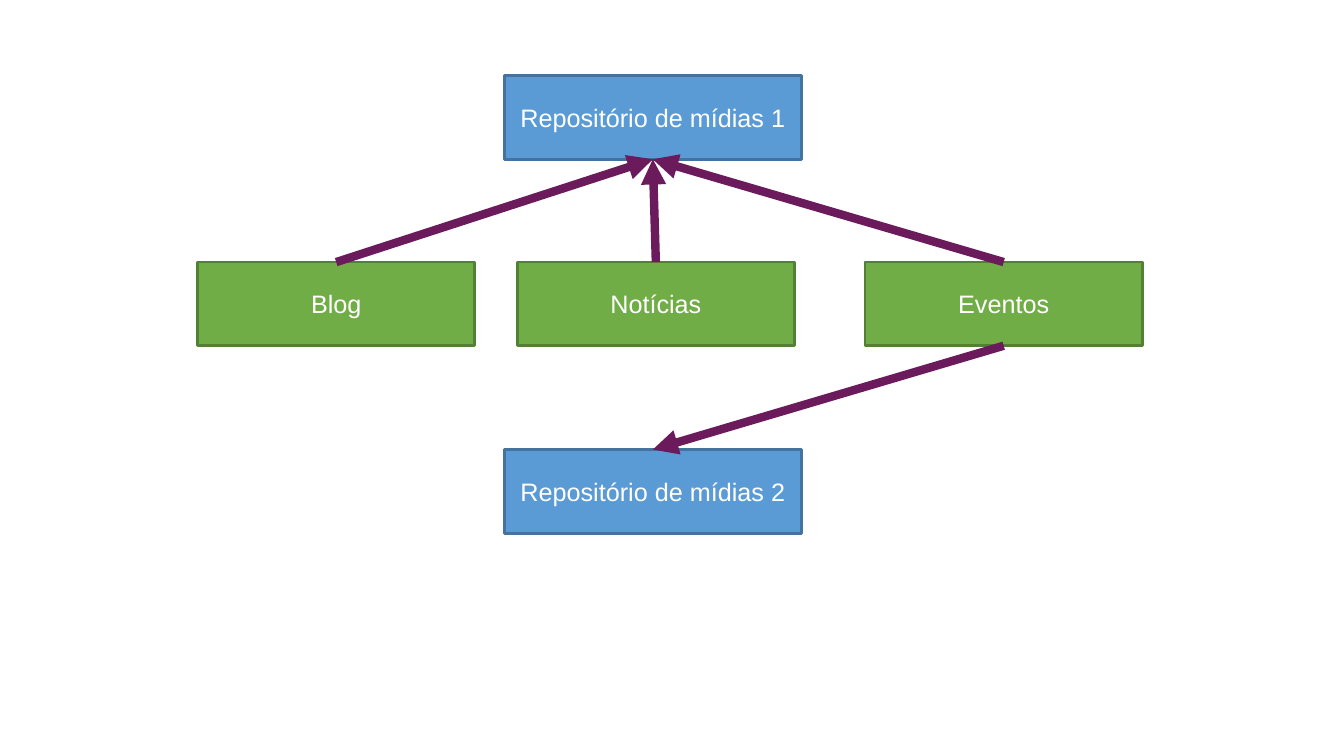
from lxml import etree
from pptx import Presentation
from pptx.dml.color import RGBColor
from pptx.enum.shapes import MSO_CONNECTOR, MSO_SHAPE
from pptx.enum.text import MSO_ANCHOR, PP_ALIGN
from pptx.oxml.ns import qn
from pptx.util import Inches, Pt

RECTANGLE = MSO_SHAPE.RECTANGLE
STRAIGHT = MSO_CONNECTOR.STRAIGHT
MIDDLE = MSO_ANCHOR.MIDDLE
CENTER = PP_ALIGN.CENTER

BLUE = RGBColor(0x5B, 0x9B, 0xD5)
DARK_BLUE = RGBColor(0x43, 0x73, 0x9E)
GREEN = RGBColor(0x70, 0xAD, 0x47)
DARK_GREEN = RGBColor(0x53, 0x80, 0x35)
PURPLE = RGBColor(0x6B, 0x1A, 0x5C)
WHITE = RGBColor(0xFF, 0xFF, 0xFF)

BOX_HEIGHT = 0.83
TOP_SITE = 0
BOTTOM_SITE = 2


def add_box(slide, text, left, top, width, fill_color, line_color):
    shape = slide.shapes.add_shape(
        RECTANGLE, Inches(left), Inches(top), Inches(width), Inches(BOX_HEIGHT)
    )
    shape.shadow.inherit = False
    shape.fill.solid()
    shape.fill.fore_color.rgb = fill_color
    shape.line.color.rgb = line_color
    shape.line.width = Pt(2)
    text_frame = shape.text_frame
    text_frame.text = text
    text_frame.word_wrap = True
    text_frame.vertical_anchor = MIDDLE
    paragraph = text_frame.paragraphs[0]
    paragraph.alignment = CENTER
    font = paragraph.runs[0].font
    font.name = "Arial"
    font.size = Pt(18)
    font.color.rgb = WHITE
    return shape


def add_repository(slide, text, top):
    return add_box(slide, text, 5, top, 2.95, BLUE, DARK_BLUE)


def add_site(slide, text, left):
    return add_box(slide, text, left, 2.6, 2.75, GREEN, DARK_GREEN)


def add_arrow(slide, source, source_site, target, target_site):
    connector = slide.shapes.add_connector(STRAIGHT, 0, 0, 0, 0)
    connector.begin_connect(source, source_site)
    connector.end_connect(target, target_site)
    connector.line.color.rgb = PURPLE
    connector.line.width = Pt(6)
    line = connector.line._get_or_add_ln()
    etree.SubElement(line, qn("a:tailEnd"), type="triangle")
    etree.SubElement(connector._element.spPr, qn("a:effectLst"))


def main():
    presentation = Presentation()
    presentation.slide_width = Inches(13.33)
    presentation.slide_height = Inches(7.5)
    slide = presentation.slides.add_slide(presentation.slide_layouts[6])

    first_repository = add_repository(slide, "Repositório de mídias 1", 0.75)
    blog = add_site(slide, "Blog", 1.96)
    news = add_site(slide, "Notícias", 5.13)
    events = add_site(slide, "Eventos", 8.58)
    second_repository = add_repository(slide, "Repositório de mídias 2", 4.46)

    for site in (blog, news, events):
        add_arrow(slide, site, TOP_SITE, first_repository, BOTTOM_SITE)
    add_arrow(slide, events, BOTTOM_SITE, second_repository, TOP_SITE)

    presentation.save("out.pptx")


if __name__ == "__main__":
    main()
